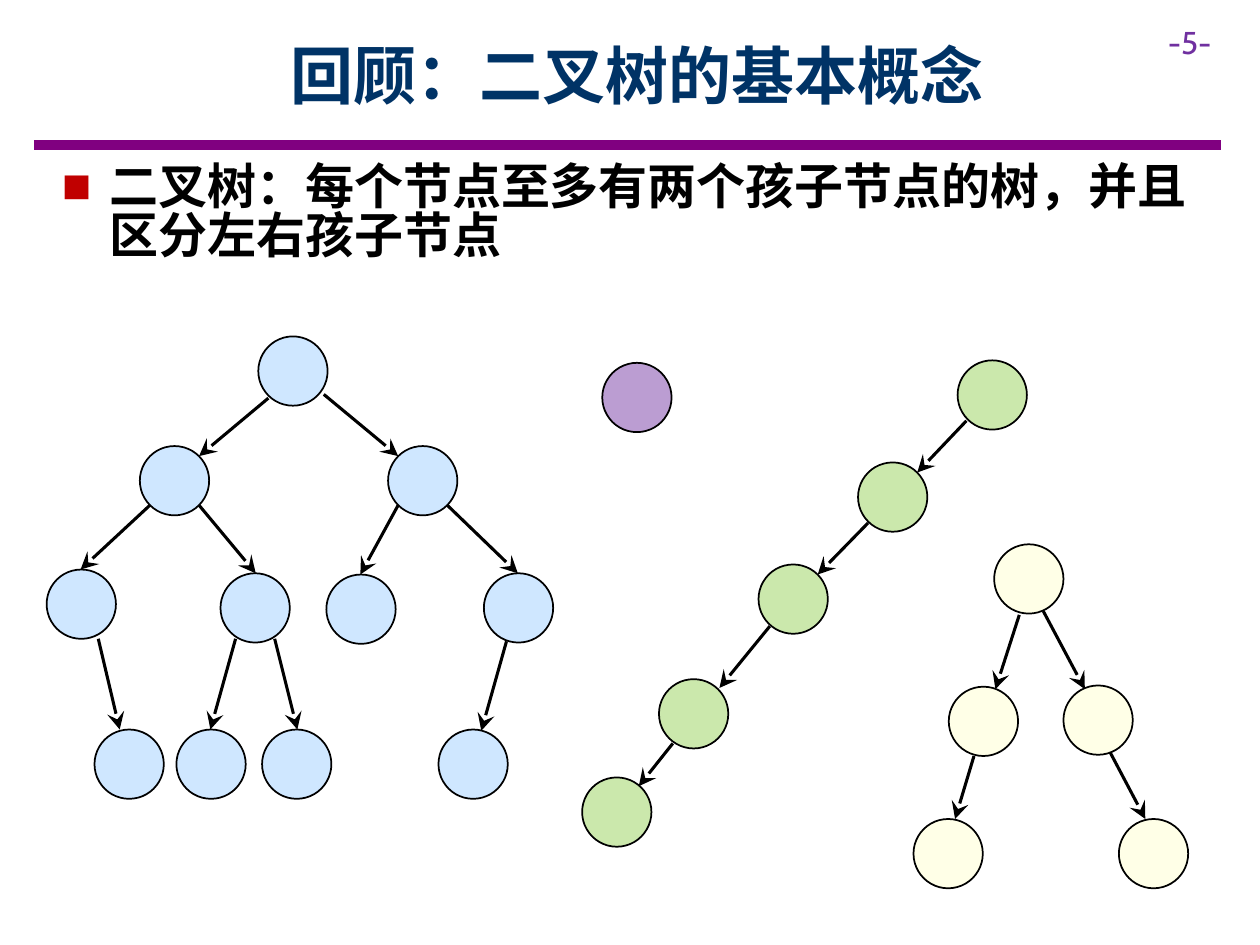
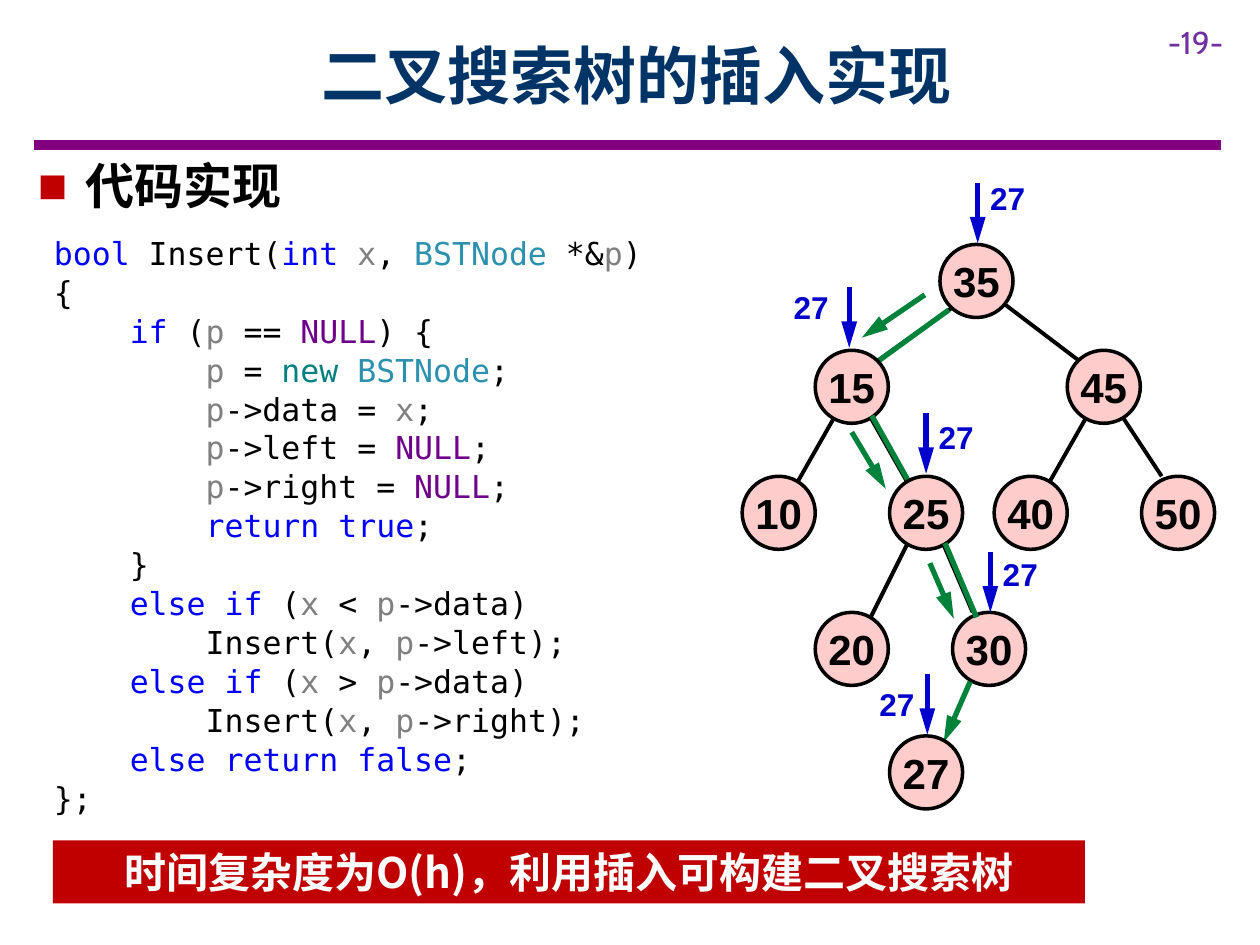
from itertools import groupby

from lxml import etree
from pptx import Presentation
from pptx import util as u
from pptx.dml.color import RGBColor
from pptx.enum import shapes, text
from pptx.oxml.ns import qn

HUES = {
    "black": "000000", "white": "FFFFFF", "navy": "003366", "band": "800080",
    "page": "7030A0", "red": "C00000", "sky": "99CCFF", "lime": "92D050",
    "cream": "FFFFCC", "pink": "FFCCCC", "mark": "0000CC", "route": "00823B",
    "key": "0000FF", "type": "2B91AF", "name": "808080", "null": "6F008A",
    "new": "008080",
}
HAN, MONO = "Noto Sans CJK SC", "DejaVu Sans Mono"
SMALL, LARGE = 0.55, 0.58

WORDS = dict.fromkeys("bool int if else return true false".split(), "key")
WORDS |= {"x": "name", "p": "name", "BSTNode": "type", "NULL": "null", "new": "new"}

CODE = """bool Insert(int x, BSTNode *&p) {
    if (p == NULL) {
        p = new BSTNode;
        p->data = x;
        p->left = NULL;
        p->right = NULL;
        return true;
    }
    else if (x < p->data)
        Insert(x, p->left);
    else if (x > p->data)
        Insert(x, p->right);
    else return false;
};"""

FOREST = [
    ("sky",
     [(2.05, 2.67), (1.11, 3.54), (3.08, 3.54), (0.37, 4.52), (1.75, 4.55),
      (2.59, 4.56), (3.84, 4.55), (0.75, 5.79), (1.4, 5.79), (2.08, 5.79),
      (3.48, 5.79)],
     [(2.13, 3.16, 1.58, 3.62), (2.57, 3.13, 3.16, 3.62), (1.19, 4.01, 0.64, 4.52),
      (1.58, 4.01, 2.03, 4.55), (3.16, 4.01, 2.86, 4.56), (3.55, 4.01, 4.11, 4.55),
      (0.78, 5.07, 0.95, 5.79), (1.87, 5.07, 1.67, 5.79), (2.18, 5.07, 2.36, 5.79),
      (4.02, 5.09, 3.82, 5.8)]),
    ("page", [(4.78, 2.88)], []),
    ("cream",
     [(7.89, 4.32), (7.53, 5.45), (8.44, 5.44), (7.25, 6.5), (8.88, 6.5)],
     [(8.09, 4.88, 7.9, 5.47), (8.28, 4.85, 8.61, 5.47), (7.73, 6, 7.58, 6.5),
      (8.81, 5.97, 9.09, 6.5)]),
    ("lime",
     [(7.6, 2.86), (6.81, 3.67), (6.02, 4.48), (5.23, 5.39), (4.62, 6.17)],
     [(7.67, 3.34, 7.28, 3.75), (6.89, 4.15, 6.49, 4.56), (6.11, 4.97, 5.71, 5.46),
      (5.34, 5.9, 5.07, 6.24)]),
]

KEYS = {
    "35": (7.46, 1.94), "15": (6.47, 2.78), "45": (8.47, 2.78), "10": (5.89, 3.78),
    "25": (7.06, 3.78), "40": (7.89, 3.78), "50": (9.06, 3.78), "20": (6.47, 4.86),
    "30": (7.56, 4.86), "27": (7.06, 5.84),
}
LINKS = [
    (7.56, 2.44, 6.97, 2.86), (7.98, 2.42, 8.56, 2.86), (6.64, 3.28, 6.31, 3.86),
    (6.89, 3.28, 7.22, 3.86), (8.64, 3.28, 8.31, 3.86), (8.89, 3.28, 9.22, 3.78),
    (7.22, 4.28, 6.89, 4.94), (7.47, 4.28, 7.72, 4.86),
]
STEPS = [
    ((7.34, 2.34, 6.84, 2.68), (7.53, 2.46, 6.95, 2.88), "15"),
    ((6.76, 3.43, 7.03, 3.88), (6.92, 3.3, 7.25, 3.89), "25"),
    ((7.38, 4.47, 7.57, 4.91), (7.5, 4.31, 7.75, 4.9), None),
    ((7.7, 5.41, 7.49, 5.89), None, "27"),
]
MARKS = [
    (7.76, 1.45, 7.76, 1.37), (6.74, 2.28, 6.2, 2.24), (7.35, 3.28, 7.35, 3.27),
    (7.86, 4.38, 7.86, 4.36), (7.36, 5.35, 6.88, 5.39),
]


def hue(name):
    return RGBColor.from_string(HUES[name])


def put(root, tag, **attrs):
    return etree.SubElement(root, qn(tag), attrs)


def style(par, face, size, color, bold=False):
    for run in par.runs:
        font = run.font
        font.name, font.size, font.bold = face, u.Pt(size), bold
        font.color.rgb = hue(color)
        put(run._r.get_or_add_rPr(), "a:ea", typeface=face)


def place(shape, left, top, wide, high):
    shape.left, shape.top = u.Inches(left), u.Inches(top)
    shape.width, shape.height = u.Inches(wide), u.Inches(high)


def box(slide, left, top, wide, high, wrap=False):
    frame = slide.shapes.add_textbox(*map(u.Inches, (left, top, wide, high))).text_frame
    frame.word_wrap = wrap
    return frame


def label(slide, words, area, face, size, color, bold=False):
    frame = box(slide, *area)
    frame.text = words
    style(frame.paragraphs[0], face, size, color, bold)


def line(slide, ends, color, width, head=None):
    link = slide.shapes.add_connector(
        shapes.MSO_CONNECTOR.STRAIGHT, *map(u.Inches, ends))
    link.line.color.rgb = hue(color)
    link.line.width = u.Pt(width)
    if head:
        breadth = "lg" if head == "stealth" else "med"
        put(link.line._get_or_add_ln(), "a:tailEnd", type=head, w=breadth, len="lg")
    put(link._element.spPr, "a:effectLst")


def solid(slide, kind, area, color):
    shape = slide.shapes.add_shape(kind, *map(u.Inches, area))
    shape.shadow.inherit = False
    shape.fill.solid()
    shape.fill.fore_color.rgb = hue(color)
    shape.line.fill.background()
    return shape


def write(shape, words, face, size, color):
    frame = shape.text_frame
    frame.text = words
    frame.vertical_anchor = text.MSO_ANCHOR.MIDDLE
    par = frame.paragraphs[0]
    par.alignment = text.PP_ALIGN.CENTER
    style(par, face, size, color, True)


def node(slide, spot, size, color, width):
    ball = solid(slide, shapes.MSO_SHAPE.OVAL, (*spot, size, size), color)
    ball.line.color.rgb = hue("black")
    ball.line.width = u.Pt(width)
    return ball


def tree(slide, color, spots, edges):
    for spot in spots:
        ball = node(slide, spot, SMALL, color, 1)
        tint = ball._element.spPr.find(qn("a:solidFill"))[0]
        put(tint, "a:alpha", val="47000")
    for ends in edges:
        line(slide, ends, "black", 1.75, "stealth")


def key(slide, name):
    ball = node(slide, KEYS[name], LARGE, "pink", 2)
    frame = ball.text_frame
    frame.margin_left = frame.margin_right = frame.margin_top = frame.margin_bottom = 0
    frame.word_wrap = False
    write(ball, name, "Arial", 24, "black")


def bullet(shape, words, area):
    place(shape, *area)
    frame = shape.text_frame
    frame.text = words
    frame.auto_size = text.MSO_AUTO_SIZE.NONE
    frame.margin_top = u.Inches(0.09)
    par = frame.paragraphs[0]
    par.line_spacing, par.space_before, par.space_after = 0.82, u.Pt(0), u.Pt(6)
    props = par._p.get_or_add_pPr()
    props.set("marL", str(u.Inches(0.38)))
    props.set("indent", str(-u.Inches(0.38)))
    put(put(props, "a:buClr"), "a:srgbClr", val=HUES["red"])
    put(props, "a:buFont", typeface="Arial")
    put(props, "a:buChar", char="■")
    style(par, HAN, 28, "black", True)


def code(slide, area):
    frame = box(slide, *area, wrap=True)
    for num, row in enumerate(CODE.split("\n")):
        par = frame.add_paragraph() if num else frame.paragraphs[0]
        par.line_spacing = 1.03
        for _, group in groupby(row, str.isalnum):
            par.add_run().text = "".join(group)
        style(par, MONO, 18, "black")
        for run in par.runs:
            run.font.color.rgb = hue(WORDS.get(run.text, "black"))


def page(deck, title, number, words, area):
    slide = deck.slides.add_slide(deck.slide_layouts[1])
    line(slide, (0.27, 1.15, 9.69, 1.15), "band", 6)
    label(slide, f"-{number}-", (9.17, 0.13, 0.83, 0.4), "Cabin", 18, "page")
    head, body = slide.placeholders
    place(head, 0.9, 0.09, 8.31, 1)
    write(head, title, HAN, 36, "navy")
    bullet(body, words, area)
    return slide


def concept(deck):
    slide = page(deck, "回顾：二叉树的基本概念", 5,
                 "二叉树：每个节点至多有两个孩子节点的树，并且区分左右孩子节点",
                 (0.39, 1.23, 9.41, 1.04))
    for color, spots, edges in FOREST:
        tree(slide, color, spots, edges)


def insert(deck):
    slide = page(deck, "二叉搜索树的插入实现", 19, "代码实现", (0.2, 1.23, 5.28, 0.57))
    for ends in LINKS:
        line(slide, ends, "black", 2.25)
    late = [name for *_, name in STEPS]
    for name in KEYS:
        if name not in late:
            key(slide, name)
    for arrow, trail, name in STEPS:
        line(slide, arrow, "route", 3, "triangle")
        if trail:
            line(slide, trail, "route", 3)
        if name:
            key(slide, name)
    for x, y, left, top in MARKS:
        line(slide, (x, y, x, y + 0.48), "mark", 3, "triangle")
        label(slide, "27", (left, top, 0.48, 0.4), "Arial", 18, "mark", True)
    code(slide, (0.33, 1.8, 5, 4.34))
    bar = solid(slide, shapes.MSO_SHAPE.RECTANGLE, (0.42, 6.67, 8.19, 0.5), "red")
    write(bar, "时间复杂度为O(h)，利用插入可构建二叉搜索树", HAN, 24, "white")


def main():
    deck = Presentation()
    deck.slide_width, deck.slide_height = u.Inches(10), u.Inches(7.5)
    concept(deck)
    insert(deck)
    deck.save("out.pptx")


if __name__ == "__main__":
    main()
